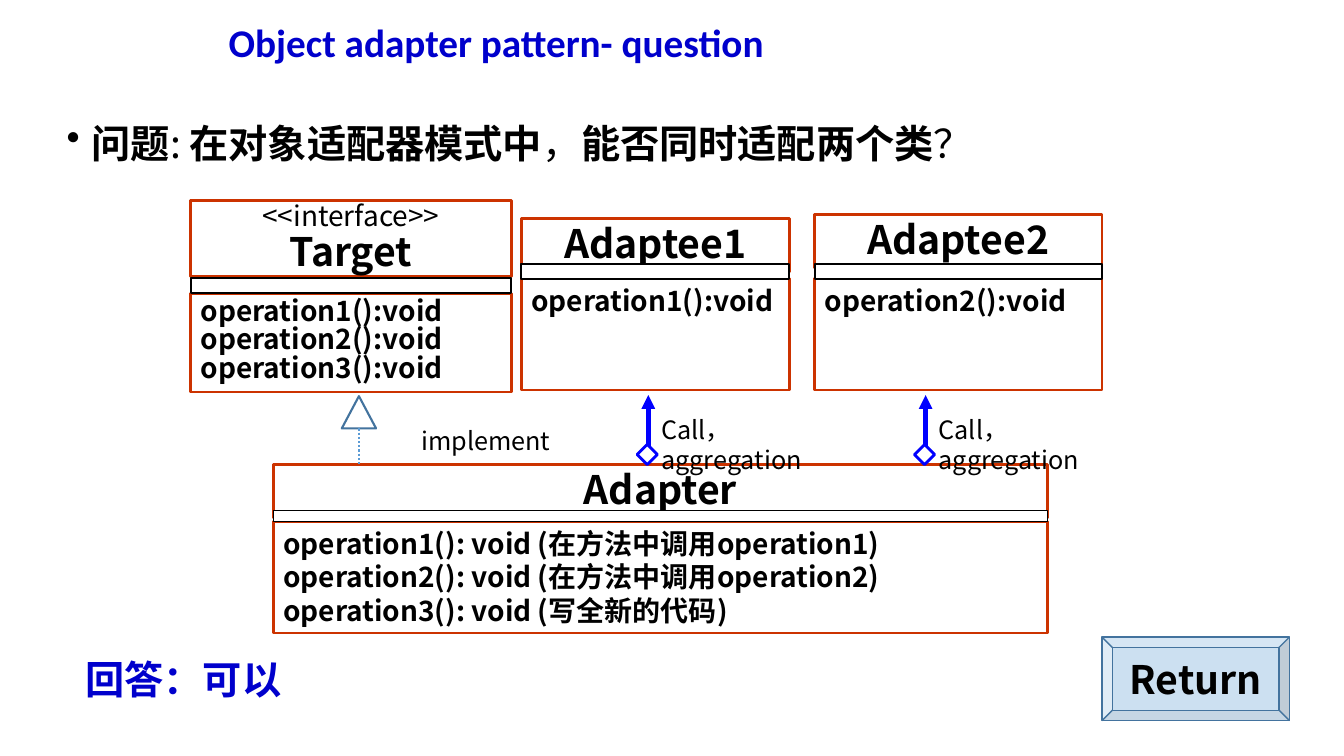
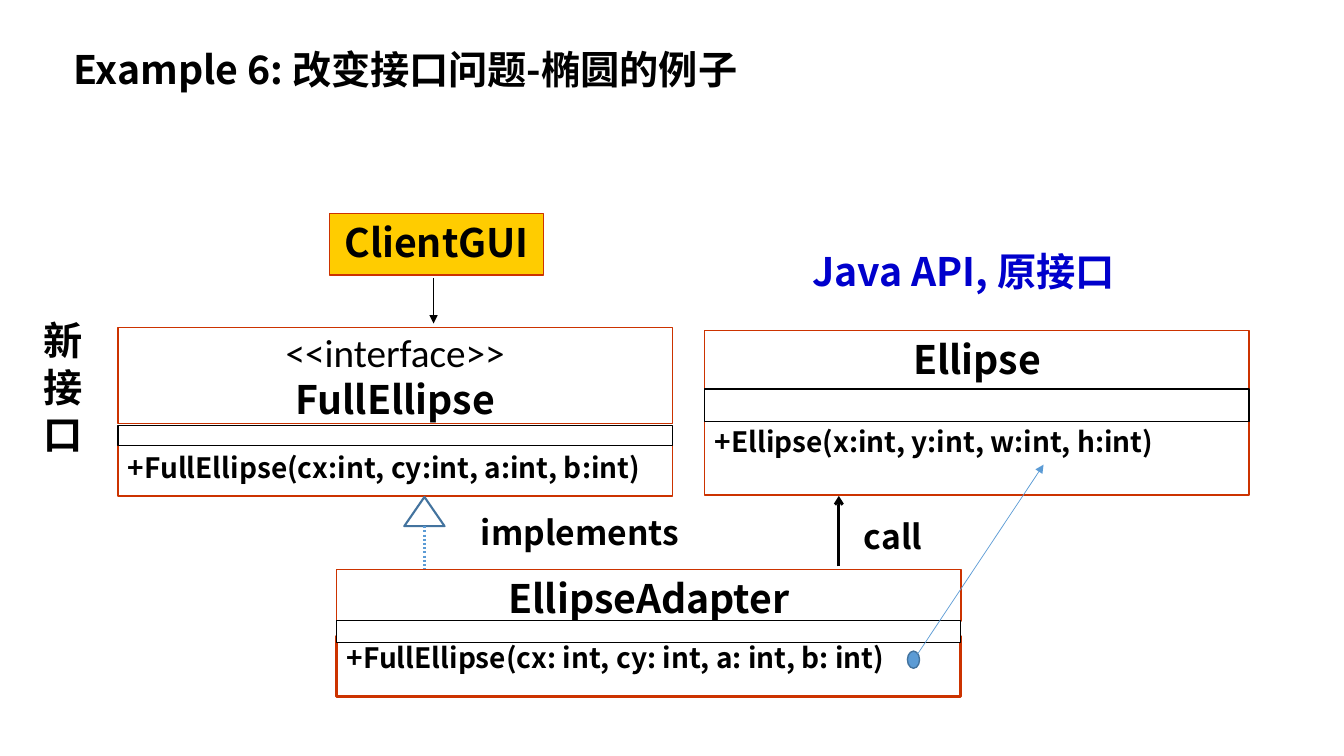
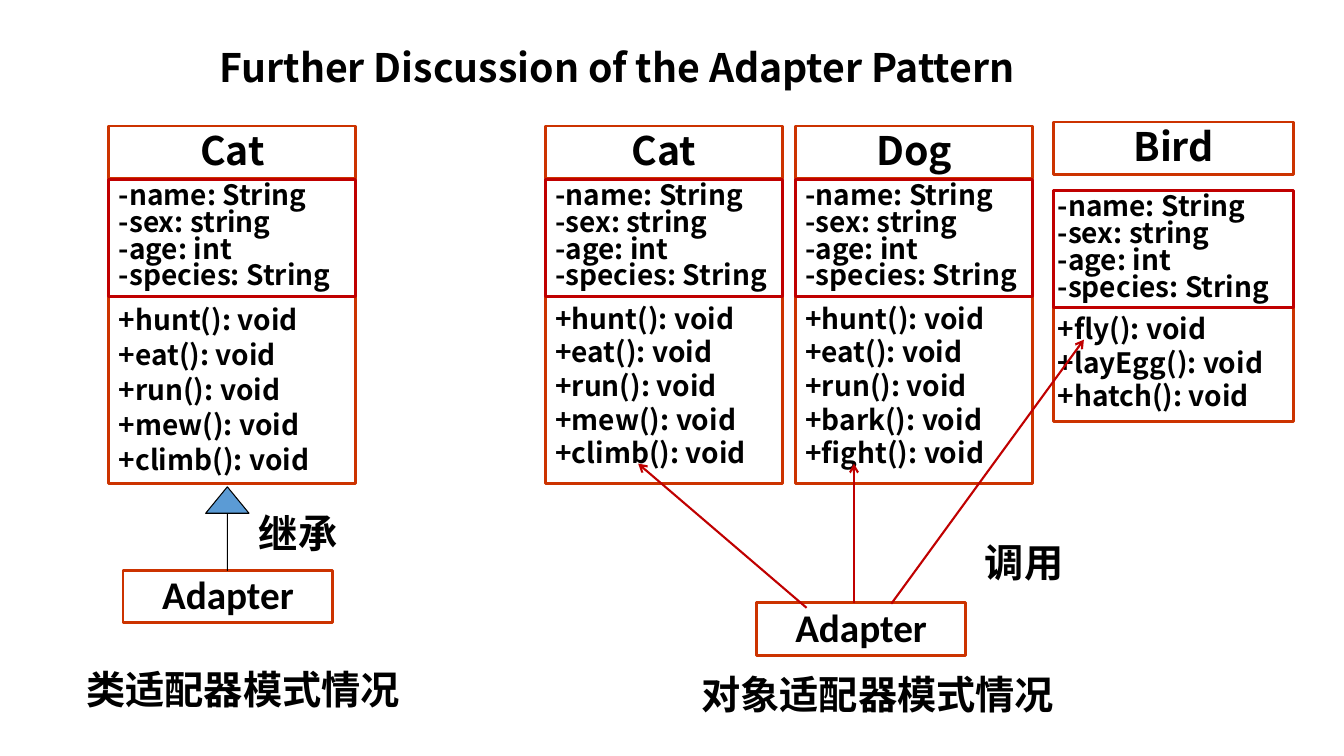
from pptx import Presentation
from pptx.dml.color import RGBColor
from pptx.enum.dml import MSO_LINE as Dash
from pptx.enum.shapes import MSO_CONNECTOR as Link, MSO_SHAPE as Form
from pptx.enum.text import MSO_ANCHOR as Anchor, PP_ALIGN as Align
from pptx.oxml.ns import qn
from pptx.util import Inches, Pt
from lxml import etree

COLORS = {
    "white": "FFFFFF", "black": "000000", "frame": "CC3300", "red": "C00000",
    "title": "0000CC", "link": "0000FF", "accent": "5B9BD5",
    "accent_dark": "43739E", "gold": "FFCC00",
}
SANS = "Noto Sans CJK SC"
LATIN = "Calibri"
LINE_HEIGHT = 1.2  # line pitch as a multiple of the text size
PADDING = (0.1, 0.05)  # side and top insets


def rgb(name):
    return RGBColor.from_string(COLORS[name])


class Deck:
    """Holds the shared style and the slide being drawn."""

    def __init__(self):
        self.prs = Presentation()
        self.prs.slide_width = Inches(13.33)
        self.prs.slide_height = Inches(7.5)
        self.slide = None

    def new_slide(self):
        self.slide = self.prs.slides.add_slide(self.prs.slide_layouts[6])

    def set_text(self, frame, paragraphs, size=28, bold=True, font=SANS, color="black",
                 align=Align.LEFT, anchor=Anchor.TOP, spacing=1, pad=PADDING,
                 wrap=True, bullet=False):
        """Fill a frame; a paragraph is a string or a list of (text, changes) runs."""
        frame.word_wrap = wrap
        frame.vertical_anchor = anchor
        frame.margin_left = frame.margin_right = Inches(pad[0])
        frame.margin_top = frame.margin_bottom = Inches(pad[1])
        for i, content in enumerate(paragraphs):
            para = frame.paragraphs[0] if i == 0 else frame.add_paragraph()
            para.alignment = align
            runs = [(content, {})] if isinstance(content, str) else content
            largest = max(changes.get("size", size) for _, changes in runs)
            para.line_spacing = Pt(round(largest * LINE_HEIGHT * spacing, 1))
            if bullet:
                props = para._p.get_or_add_pPr()
                props.set("marL", str(Inches(0.25)))
                props.set("indent", str(-Inches(0.25)))
                etree.SubElement(props, qn("a:buChar")).set("char", "•")
            for words, changes in runs:
                run = para.add_run()
                run.text = words
                run.font.size = Pt(changes.get("size", size))
                run.font.bold = changes.get("bold", bold)
                run.font.color.rgb = rgb(color)
                run.font.name = changes.get("font", font)
                east_asian = etree.SubElement(run._r.get_or_add_rPr(), qn("a:ea"))
                east_asian.set("typeface", SANS)

    def text(self, at, *paragraphs, **style):
        area = self.slide.shapes.add_textbox(*map(Inches, at))
        self.set_text(area.text_frame, paragraphs, **style)

    def title(self, at, words, **style):
        self.text(at, words, anchor=Anchor.MIDDLE, spacing=0.9, **style)

    def shape(self, at, *paragraphs, form=Form.RECTANGLE, fill="white", line="frame",
              width=2, alpha=None, **style):
        part = self.slide.shapes.add_shape(form, *map(Inches, at))
        part.shadow.inherit = False
        if fill:
            part.fill.solid()
            part.fill.fore_color.rgb = rgb(fill)
            if alpha:
                tint = part._element.spPr.find(qn("a:solidFill")).find(qn("a:srgbClr"))
                etree.SubElement(tint, qn("a:alpha")).set("val", str(alpha * 1000))
        else:
            part.fill.background()
        if line:
            part.line.color.rgb = rgb(line)
            part.line.width = Pt(width)
        else:
            part.line.fill.background()
        if paragraphs:
            self.set_text(part.text_frame, paragraphs, **style)
        return part

    def line(self, start, end, color, width, head=None, dash=None):
        link = self.slide.shapes.add_connector(
            Link.STRAIGHT, *map(Inches, (*start, *end)))
        link.line.color.rgb = rgb(color)
        link.line.width = Pt(width)
        if dash:
            link.line.dash_style = dash
        if head:
            outline = link._element.spPr.find(qn("a:ln"))
            etree.SubElement(outline, qn("a:tailEnd")).set("type", head)
        etree.SubElement(link._element.spPr, qn("a:effectLst"))

    def class_box(self, left, width, name, head, middle, body, operations,
                  attributes=(), lines=(2, 2, 2), middle_color="black",
                  head_spacing=0.9, body_spacing=1, pad=PADDING):
        """UML class; head, middle and body are (top, height) bands."""
        def band(span):
            return left, span[0], width, span[1]

        self.shape(band(body), *operations, width=lines[2], size=20,
                   spacing=body_spacing, pad=pad)
        self.shape(band(head), *name, width=lines[0], align=Align.CENTER,
                   spacing=head_spacing, pad=(0.1, 0.01 if len(name) > 1 else 0.05))
        self.shape(band(middle), *attributes, line=middle_color, width=lines[1],
                   size=20, spacing=0.8, anchor=Anchor.MIDDLE, pad=(pad[0], 0.04))

    def realization(self, center, top, width, height, bottom):
        """Hollow triangle on a dotted line."""
        self.shape((center - width / 2, top, width, height), fill=None,
                   form=Form.FLOWCHART_EXTRACT, line="accent_dark", width=1.5)
        self.line((center, top + height), (center, bottom), "accent", 1.5,
                  dash=Dash.ROUND_DOT)


def question_slide(deck):
    deck.new_slide()
    deck.title((2.17, 0.17, 9.08, 0.53), "Object adapter pattern- question",
               font=LATIN, color="title")
    plain = {"bold": False}
    deck.text((0.66, 1.24, 9.48, 0.5),
              [("问题", {}), (": ", plain), ("在对象适配器模式中", {}), ("，", plain),
               ("能否同时适配两个类", {}), ("？", plain)],
              spacing=0.85, pad=(0, 0.01), bullet=True)

    # Classes
    deck.class_box(1.89, 3.18, [[("<<interface>>", {"size": 20, "bold": False})], "Target"],
                   (1.99, 0.75), (2.76, 0.15), (2.91, 0.98),
                   [f"operation{n}():void" for n in (1, 2, 3)],
                   lines=(2, 1.5, 2), body_spacing=0.85)
    for n, left, width, top in ((1, 5.17, 2.66, 2.17), (2, 8.08, 2.85, 2.13)):
        deck.class_box(left, width, [f"Adaptee{n}"], (top, 0.53), (2.62, 0.15),
                       (2.76, 1.11), [f"operation{n}():void"], lines=(2, 1.5, 2))
    deck.class_box(2.71, 7.68, ["Adapter"], (4.61, 0.53), (5.06, 0.11), (5.17, 1.11),
                   ["operation1(): void (在方法中调用operation1)",
                    "operation2(): void (在方法中调用operation2)",
                    "operation3(): void (写全新的代码)"], lines=(2, 0.75, 2))

    # Relations
    deck.realization(3.56, 3.93, 0.34, 0.32, 4.6)
    deck.text((4.08, 4.17, 1.58, 0.4), "implement", size=18, bold=False)
    for x in (6.43, 9.18):
        deck.line((x, 4.47), (x, 3.92), "link", 3.25, head="triangle")
        deck.shape((x - 0.11, 4.41, 0.2, 0.2), form=Form.DIAMOND, line="link")
        deck.text((x + 0.13, 4.11, 1.5, 0.6), "Call，aggregation",
                  size=18, bold=False, pad=(0, 0))

    # Answer and button
    deck.text((0.75, 6.5, 2.83, 0.47), "回答：可以", color="title", pad=(0.1, 0))
    deck.shape((10.93, 6.32, 1.86, 0.83), "Return", form=Form.BEVEL, fill="accent",
               alpha=31, line="accent_dark", width=1, align=Align.CENTER,
               anchor=Anchor.MIDDLE)


def ellipse_slide(deck):
    deck.new_slide()
    deck.text((0.63, 0.45, 8.75, 0.72), "Example 6: 改变接口问题-椭圆的例子", spacing=0.9)

    # Classes
    deck.class_box(1.17, 5.5,
                   [[("<<interface>>", {"bold": False, "font": LATIN})], "FullEllipse"],
                   (3.25, 0.95), (4.22, 0.2), (4.42, 0.5),
                   ["+FullEllipse(cx:int, cy:int, a:int, b:int)"],
                   lines=(1, 1, 1), head_spacing=1)
    deck.class_box(3.34, 6.19, ["EllipseAdapter"], (5.65, 0.51), (6.16, 0.21),
                   (6.31, 0.6), ["+FullEllipse(cx: int, cy: int, a: int, b: int)"],
                   lines=(1, 0.75, 2), head_spacing=1)
    deck.class_box(6.99, 5.4, ["Ellipse"], (3.28, 0.64), (3.86, 0.32), (4.16, 0.75),
                   ["+Ellipse(x:int, y:int, w:int, h:int)"],
                   lines=(1, 1, 1), head_spacing=1)
    deck.shape((3.27, 2.12, 2.12, 0.61), "ClientGUI", fill="gold", width=1,
               align=Align.CENTER)

    # Labels
    deck.shape((8.47, 5.07, 0.97, 0.5), "call", line=None, size=24)
    deck.shape((4.67, 5.03, 2.32, 0.5), "implements", line=None, size=24)
    deck.text((7.96, 2.4, 3.79, 0.57), "Java API, 原接口", color="title")
    deck.text((0.33, 3.09, 0.59, 1.51), *"新接口", wrap=False)

    # Relations
    deck.line((4.3, 2.76), (4.3, 3.21), "black", 0.75, head="triangle")
    deck.line((8.32, 5.62), (8.32, 4.92), "black", 2, head="arrow")
    deck.realization(4.21, 4.93, 0.4, 0.29, 5.64)
    deck.shape((9, 6.46, 0.12, 0.17), form=Form.OVAL, fill="accent",
               line="accent_dark", width=1)
    deck.line((9.1, 6.49), (10.35, 4.61), "accent", 0.5, head="triangle")


def discussion_slide(deck):
    deck.new_slide()
    deck.title((2.08, 0.3, 9, 0.78), "Further Discussion of the Adapter Pattern")

    # Animal classes: name, left, width, shift down, body height, line pitch, padding, actions
    cat = ("hunt", "eat", "run", "mew", "climb")
    dog = ("hunt", "eat", "run", "bark", "fight")
    bird = ("fly", "layEgg", "hatch")
    animals = (
        ("Cat", 1.08, 2.45, 0, 1.86, 1.04, PADDING, cat),
        ("Cat", 5.41, 2.35, 0, 1.86, 1, PADDING, cat),
        ("Dog", 7.89, 2.35, 0, 1.86, 1, PADDING, dog),
        ("Bird", 10.45, 2.38, 0.11, 1.13, 1, (0.04, 0.04), bird),
    )
    fields = ("-name: String", "-sex: string", "-age: int", "-species: String")
    for name, left, width, shift, height, pitch, pad, actions in animals:
        head_top = 1.21 if shift else 1.25
        deck.class_box(left, width, [name], (head_top, 0.52), (1.78 + shift, 1.16),
                       (2.94 + shift, height), [f"+{act}(): void" for act in actions],
                       attributes=fields, middle_color="red", body_spacing=pitch, pad=pad)

    # Adapters
    for left, top in ((1.22, 5.66), (7.5, 5.98)):
        deck.shape((left, top, 2.08, 0.52), "Adapter", font=LATIN,
                   align=Align.CENTER, spacing=0.9)

    # Inheritance and calls
    inherit = deck.shape((2.04, 4.83, 0.43, 0.83), form=Form.UP_ARROW, fill="accent",
                         line="black", width=0.75)
    inherit.adjustments[0] = 0
    inherit.adjustments[1] = 0.61
    for start, end in (((8.47, 5.98), (8.47, 4.6)), ((8.84, 5.99), (10.75, 3.37)),
                       ((8, 6.03), (6.33, 4.6))):
        deck.line(start, end, "red", 1.5, head="arrow")

    # Captions
    deck.text((0.76, 6.55, 3.34, 0.57), "类适配器模式情况")
    deck.text((6.33, 6.6, 4.75, 0.57), "对象适配器模式情况", align=Align.CENTER)
    deck.text((2.47, 5, 1.14, 0.57), "继承")
    deck.text((9.67, 5.29, 1.14, 0.57), "调用")


def main():
    deck = Deck()
    question_slide(deck)
    ellipse_slide(deck)
    discussion_slide(deck)
    deck.prs.save("out.pptx")


if __name__ == "__main__":
    main()
